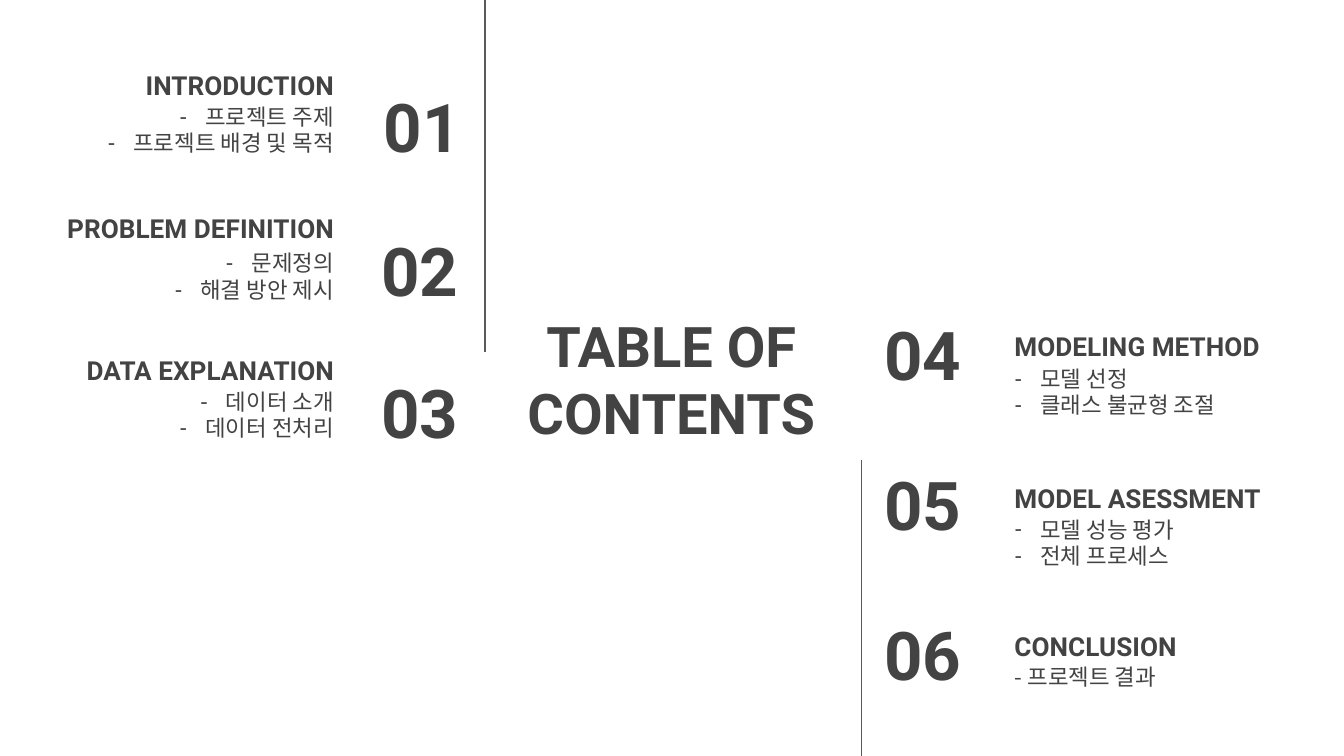
from dataclasses import dataclass

from lxml import etree
from pptx import Presentation
from pptx.dml.color import RGBColor
from pptx.enum.shapes import MSO_CONNECTOR
from pptx.enum.text import MSO_ANCHOR, MSO_AUTO_SIZE, PP_ALIGN
from pptx.oxml.ns import qn
from pptx.util import Pt

INK = RGBColor(0x43, 0x43, 0x43)
RULE = RGBColor(0x59, 0x59, 0x59)
LATIN = "Roboto"
KOREAN = "Noto Sans CJK KR"
LEFT, CENTER, RIGHT = PP_ALIGN.LEFT, PP_ALIGN.CENTER, PP_ALIGN.RIGHT
TOP, MIDDLE, BOTTOM = MSO_ANCHOR.TOP, MSO_ANCHOR.MIDDLE, MSO_ANCHOR.BOTTOM
NO_FIT = MSO_AUTO_SIZE.NONE
STRAIGHT = MSO_CONNECTOR.STRAIGHT
SLIDE_WIDTH, SLIDE_HEIGHT = 720, 405
BOX_HEIGHT = 45.4
INSET = 7.2
INDENT = 13.7


@dataclass
class Column:
    align: PP_ALIGN
    text_edge: float
    number_edge: float

    def left(self, edge, width):
        return edge - width if self.align == RIGHT else edge


@dataclass
class Section:
    column: Column
    number: str
    heading: str
    items: list
    number_top: float
    heading_top: float
    list_top: float
    heading_width: float = 155.5
    list_width: float = 131.8
    number_shift: float = 0
    bulleted: bool = True


LEFT_COLUMN = Column(RIGHT, 186.1, 252.7)
RIGHT_COLUMN = Column(LEFT, 536.4, 466.6)

SECTIONS = [
    Section(LEFT_COLUMN, "01", "INTRODUCTION", ["프로젝트 주제", "프로젝트 배경 및 목적"],
            44.6, 15.8, 48.2, list_width=148.3, number_shift=1.4),
    Section(LEFT_COLUMN, "02", "PROBLEM DEFINITION", ["문제정의", "해결 방안 제시"],
            121.7, 92.2, 126.7, heading_width=162),
    Section(LEFT_COLUMN, "03", "DATA EXPLANATION", ["데이터 소개", "데이터 전처리"],
            198, 168.5, 200.9),
    Section(RIGHT_COLUMN, "04", "MODELING METHOD", ["모델 선정", "클래스 불균형 조절"],
            167, 155.5, 188.6),
    Section(RIGHT_COLUMN, "05", "MODEL ASESSMENT", ["모델 성능 평가", "전체 프로세스"],
            247, 236.9, 269.3),
    Section(RIGHT_COLUMN, "06", "CONCLUSION", ["- 프로젝트 결과"],
            327.6, 316.1, 348.5, bulleted=False),
]


def place(box, left, top, width, height=BOX_HEIGHT):
    box.left, box.top, box.width, box.height = Pt(left), Pt(top), Pt(width), Pt(height)


def write(box, text, size, font, bold, align, anchor, spacing=1.0):
    frame = box.text_frame
    frame.text = text
    frame.word_wrap = True
    frame.auto_size = NO_FIT
    frame.vertical_anchor = anchor
    frame.margin_left = frame.margin_right = Pt(INSET)
    frame.margin_top = frame.margin_bottom = Pt(INSET)
    for para in frame.paragraphs:
        para.alignment = align
        para.line_spacing = spacing
        para.space_before = para.space_after = Pt(0)
        for span in para.runs:
            span.font.size = Pt(size)
            span.font.bold = bold
            span.font.name = font
            span.font.color.rgb = INK
            properties = span.font._element
            etree.SubElement(properties, qn("a:ea"), typeface=font)


def set_bullet(para, bulleted):
    properties = para._p.get_or_add_pPr()
    indent = Pt(INDENT) if bulleted else 0
    properties.set("marL", str(indent))
    properties.set("indent", str(-indent))
    if bulleted:
        color = etree.SubElement(properties, qn("a:buClr"))
        etree.SubElement(color, qn("a:srgbClr"), val=str(INK))
        etree.SubElement(properties, qn("a:buChar"), char="-")
    else:
        etree.SubElement(properties, qn("a:buNone"))


def add_label(page, text, left, top, width, size, align, anchor):
    box = page.shapes.add_textbox(Pt(left), Pt(top), Pt(width), Pt(BOX_HEIGHT))
    write(box, text, size, LATIN, True, align, anchor)


def fill_list(box, section):
    column = section.column
    left = column.left(column.text_edge, section.list_width)
    place(box, left, section.list_top, section.list_width)
    write(box, "\n".join(section.items), 12, KOREAN, False, column.align, TOP, Pt(14.2))
    for para in box.text_frame.paragraphs:
        set_bullet(para, section.bulleted)


def add_section(page, box, section):
    column = section.column
    number_width = 87
    number_left = column.left(column.number_edge, number_width) + section.number_shift
    heading_left = column.left(column.text_edge, section.heading_width)
    add_label(page, section.number, number_left, section.number_top,
              number_width, 36, column.align, MIDDLE)
    add_label(page, section.heading, heading_left, section.heading_top,
              section.heading_width, 14, column.align, BOTTOM)
    fill_list(box, section)


def add_rule(page, x, top, bottom):
    rule = page.shapes.add_connector(STRAIGHT, Pt(x), Pt(top), Pt(x), Pt(bottom))
    rule.line.color.rgb = RULE
    rule.line.width = Pt(0.75)
    etree.SubElement(rule._element.spPr, qn("a:effectLst"))


def list_boxes(page, count):
    boxes = [page.placeholders[1]]
    body = page.slide_layout.placeholders[1]
    while len(boxes) < count:
        page.shapes.clone_placeholder(body)
        boxes.append(page.shapes[-1])
    return boxes


def main():
    deck = Presentation()
    deck.slide_width, deck.slide_height = Pt(SLIDE_WIDTH), Pt(SLIDE_HEIGHT)
    page = deck.slides.add_slide(deck.slide_layouts[1])

    title = page.shapes.title
    place(title, 266.4, 165.6, 186.5, 74.2)
    write(title, "TABLE OF CONTENTS", 30, LATIN, True, CENTER, MIDDLE)

    for box, section in zip(list_boxes(page, len(SECTIONS)), SECTIONS):
        add_section(page, box, section)

    add_rule(page, 259.9, 0, 188.6)
    add_rule(page, 461.5, 246.2, SLIDE_HEIGHT)
    deck.save("out.pptx")


if __name__ == "__main__":
    main()
